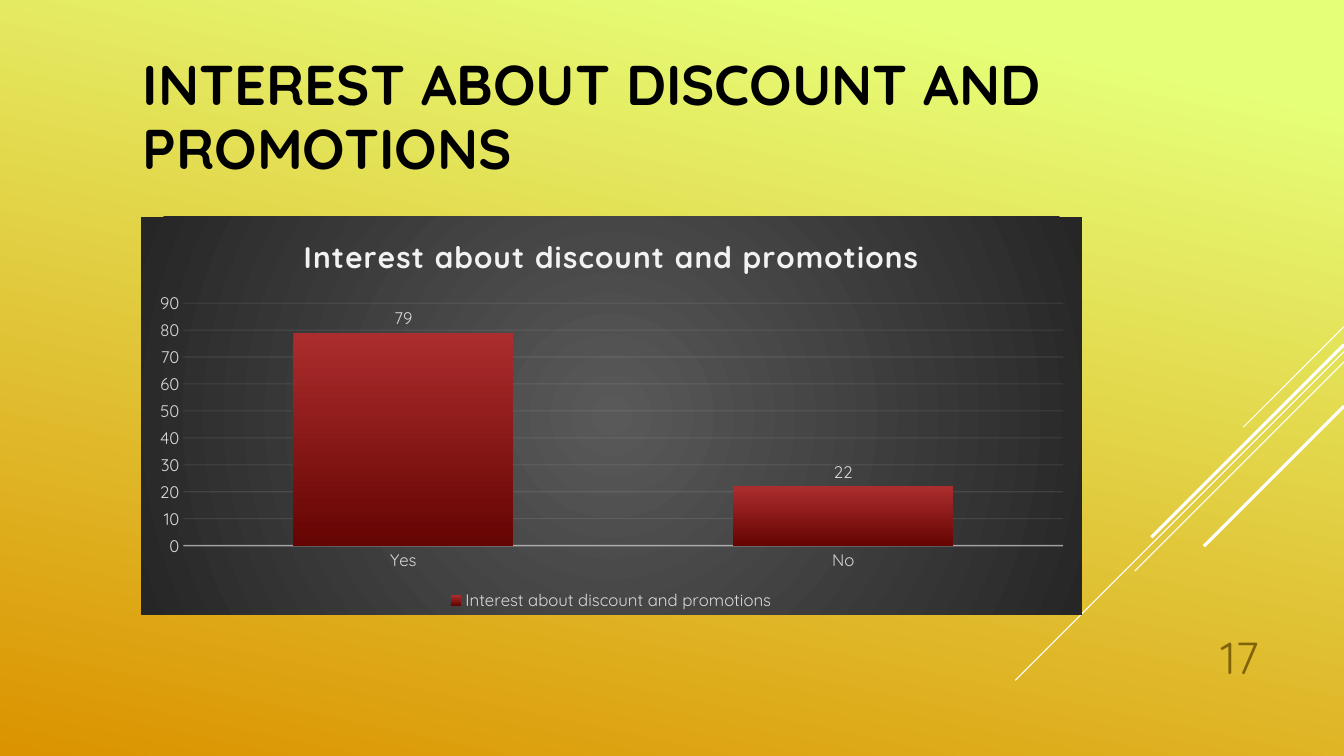
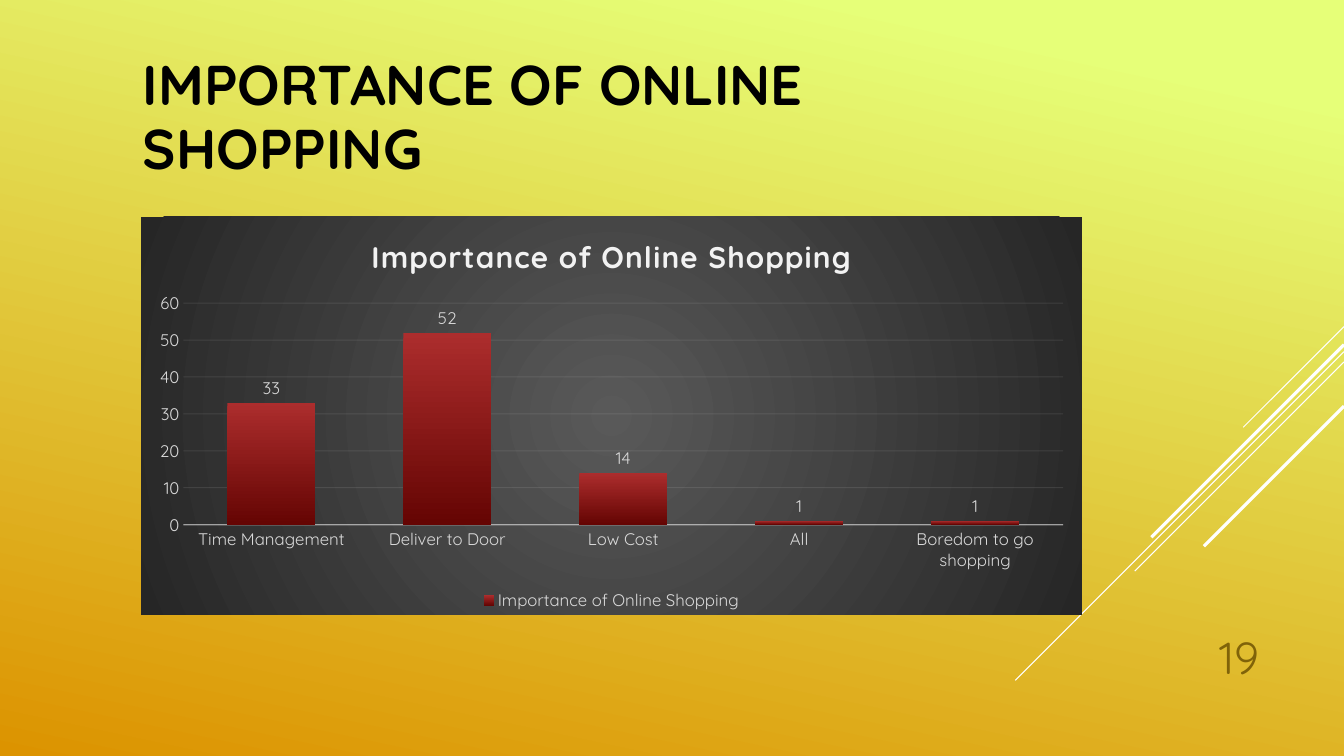
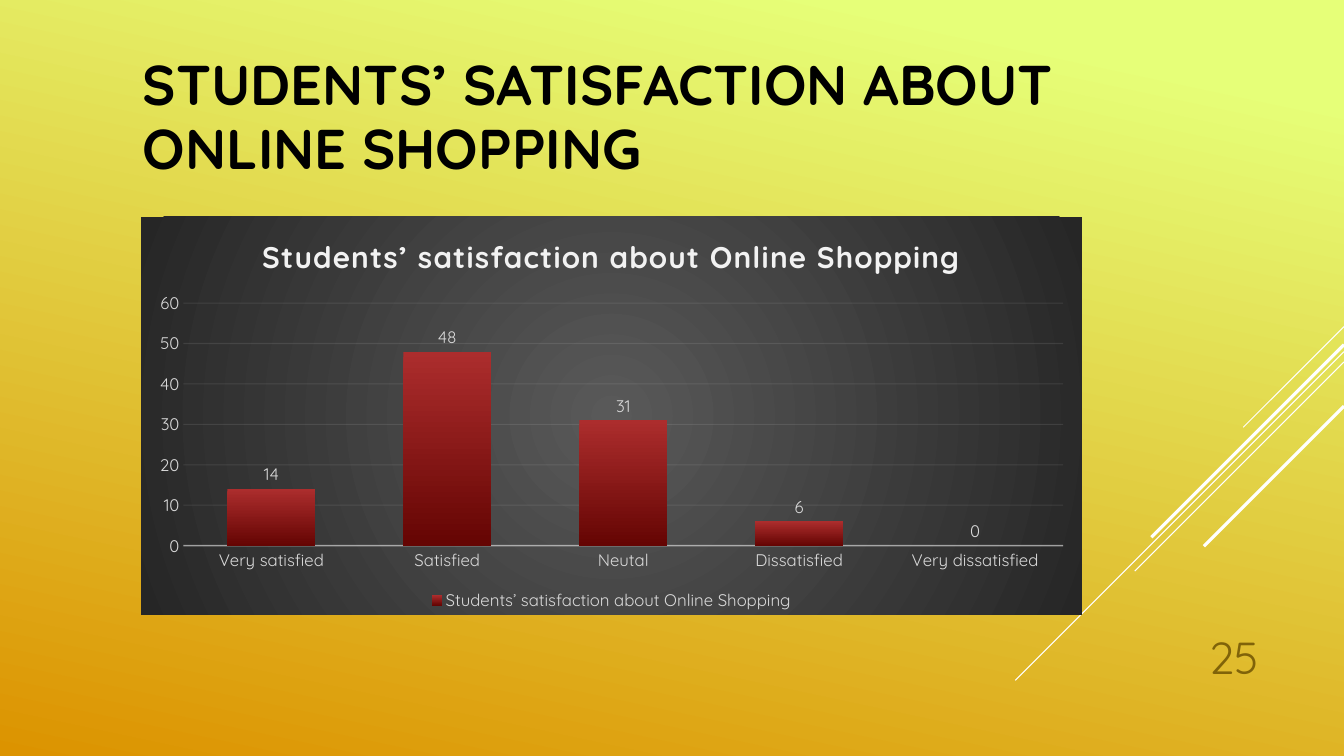
from lxml.etree import SubElement
from pptx import Presentation
from pptx.chart.data import CategoryChartData
from pptx.dml.color import RGBColor
from pptx.enum.chart import XL_CHART_TYPE, XL_LABEL_POSITION, XL_LEGEND_POSITION, XL_TICK_MARK
from pptx.enum.shapes import MSO_CONNECTOR
from pptx.enum.text import MSO_ANCHOR, PP_ALIGN
from pptx.oxml import parse_xml
from pptx.oxml.ns import nsdecls, qn
from pptx.util import Inches, Pt

FONT = "Quicksand"
BLACK = RGBColor(0x00, 0x00, 0x00)
WHITE = RGBColor(0xFF, 0xFF, 0xFF)
LIME = RGBColor(0xE6, 0xFF, 0x78)
AMBER = RGBColor(0xDC, 0x93, 0x00)
OLIVE = RGBColor(0x80, 0x63, 0x09)
RED = RGBColor(0xAC, 0x2D, 0x2D)
DARK_RED = RGBColor(0x65, 0x05, 0x03)
GRAY = RGBColor(0x59, 0x59, 0x59)
CHARCOAL = RGBColor(0x26, 0x26, 0x26)
LABEL_GRAY = RGBColor(0xD9, 0xD9, 0xD9)
OFF_WHITE = RGBColor(0xF2, 0xF2, 0xF2)

# Boxes are left, top, width, height in percent of the slide's size
TITLE_BOX = (9.9, 4.67, 70, 22)
CHART_BOX = (10.5, 28.67, 70, 52.67)
NUMBER_BOX = (85, 81.33, 9.4, 9.73)

# Diagonals run down-left from the right edge: start and drop in percent
# of the slide's height, then line width in points
DIAGONALS = [
    (43.2, 13.33, 0.75),
    (46.53, 43.47, 0.75),
    (47.87, 27.67, 0.75),
    (45.6, 25.47, 2.25),
    (53.73, 18.53, 2.25),
]

# Title, page number, values by category
SURVEY = [
    ("Interest about discount and promotions", "17", {"Yes": 79, "No": 22}),
    ("Importance of Online Shopping", "19",
     {"Time Management": 33, "Deliver to Door": 52, "Low Cost": 14,
      "All": 1, "Boredom to go shopping": 1}),
    ("Students’ satisfaction about Online Shopping", "25",
     {"Very satisfied": 14, "Satisfied": 48, "Neutal": 31,
      "Dissatisfied": 6, "Very dissatisfied": 0}),
]

CHART_AREA = f"""<c:spPr {nsdecls("c", "a")}>
  <a:gradFill><a:gsLst>
    <a:gs pos="0"><a:srgbClr val="{GRAY}"/></a:gs>
    <a:gs pos="100000"><a:srgbClr val="{CHARCOAL}"/></a:gs>
  </a:gsLst><a:path path="circle">
    <a:fillToRect l="50000" t="50000" r="50000" b="50000"/>
  </a:path></a:gradFill>
  <a:ln><a:noFill/></a:ln>
</c:spPr>"""
PLOT_AREA = f'<c:spPr {nsdecls("c", "a")}><a:noFill/><a:ln><a:noFill/></a:ln></c:spPr>'

presentation = Presentation()
presentation.slide_width = Inches(13.33)
presentation.slide_height = Inches(7.5)
WIDTH, HEIGHT = presentation.slide_width, presentation.slide_height


def place(box):
    """Turn a box in percent of the slide into lengths."""
    sizes = (WIDTH, HEIGHT, WIDTH, HEIGHT)
    return [int(size * share / 100) for size, share in zip(sizes, box)]


def paint_gradient(fill, stops, clockwise_angle):
    fill.gradient()
    fill.gradient_angle = 360 - clockwise_angle
    for stop, (position, color) in zip(fill.gradient_stops, stops):
        stop.position = position
        stop.color.rgb = color


for title, number, answers in SURVEY:
    slide = presentation.slides.add_slide(presentation.slide_layouts[6])
    paint_gradient(slide.background.fill, [(0.1, LIME), (1, AMBER)], 102)

    for start, drop, line_width in DIAGONALS:
        top, fall = int(HEIGHT * start / 100), int(HEIGHT * drop / 100)
        diagonal = slide.shapes.add_connector(
            MSO_CONNECTOR.STRAIGHT, WIDTH, top, WIDTH - fall, top + fall)
        diagonal.line.color.rgb = WHITE
        diagonal.line.width = Pt(line_width)
        SubElement(diagonal.element.spPr, qn("a:effectLst"))

    # Title and page number
    for box, text, size, bold, color, anchor, alignment, spacing in [
        (TITLE_BOX, title.upper(), 40, True, BLACK, MSO_ANCHOR.MIDDLE, PP_ALIGN.LEFT, 0.95),
        (NUMBER_BOX, number, 32, False, OLIVE, MSO_ANCHOR.BOTTOM, PP_ALIGN.RIGHT, 1.0),
    ]:
        text_frame = slide.shapes.add_textbox(*place(box)).text_frame
        text_frame.word_wrap = True
        text_frame.vertical_anchor = anchor
        paragraph = text_frame.paragraphs[0]
        paragraph.alignment = alignment
        paragraph.line_spacing = spacing
        run = paragraph.add_run()
        run.text = text
        run.font.name = FONT
        run.font.size = Pt(size)
        run.font.bold = bold
        run.font.color.rgb = color

    # Column chart
    chart_data = CategoryChartData()
    chart_data.categories = list(answers)
    chart_data.add_series(title, list(answers.values()))
    chart = slide.shapes.add_chart(
        XL_CHART_TYPE.COLUMN_CLUSTERED, *place(CHART_BOX), chart_data).chart
    chart.font.name = FONT
    chart.font.size = Pt(10)
    chart.font.color.rgb = WHITE

    chart.has_title = True
    run = chart.chart_title.text_frame.paragraphs[0].add_run()
    run.text = title
    run.font.name = FONT
    run.font.size = Pt(21.3)
    run.font.bold = True
    run.font.color.rgb = OFF_WHITE

    chart.has_legend = True
    chart.legend.position = XL_LEGEND_POSITION.BOTTOM
    chart.legend.include_in_layout = False

    plot = chart.plots[0]
    plot.gap_width = 100
    plot.overlap = -24
    plot.vary_by_categories = False
    plot.has_data_labels = True
    plot.data_labels.show_value = True
    plot.data_labels.position = XL_LABEL_POSITION.OUTSIDE_END
    paint_gradient(plot.series[0].format.fill, [(0, RED), (1, DARK_RED)], 90)

    category_axis, value_axis = chart.category_axis, chart.value_axis
    for axis in (category_axis, value_axis):
        axis.major_tick_mark = XL_TICK_MARK.NONE
        axis.minor_tick_mark = XL_TICK_MARK.NONE
    value_axis.has_major_gridlines = True
    value_axis.format.line.fill.background()
    for line, line_width in [
        (category_axis.format.line, 1),
        (value_axis.major_gridlines.format.line, 0.75),
    ]:
        line.color.rgb = OFF_WHITE
        line.width = Pt(line_width)

    for font in (chart.legend.font, plot.data_labels.font,
                 category_axis.tick_labels.font, value_axis.tick_labels.font):
        font.name = FONT
        font.size = Pt(12)
        font.color.rgb = LABEL_GRAY

    # Letter spacing, line transparency and area fills
    chart_space = chart.element
    chart_space.xpath("c:chart/c:title//a:rPr")[0].set("spc", "100")
    for line_parent, opacity in [("c:catAx", 54), ("c:valAx/c:majorGridlines", 10)]:
        for color in chart_space.xpath(f".//{line_parent}/c:spPr/a:ln//a:srgbClr"):
            SubElement(color, qn("a:alpha"), val=str(opacity * 1000))
    chart_space.xpath("c:chart/c:plotArea")[0].append(parse_xml(PLOT_AREA))
    chart_space.xpath("c:chart")[0].addnext(parse_xml(CHART_AREA))

presentation.save("out.pptx")
